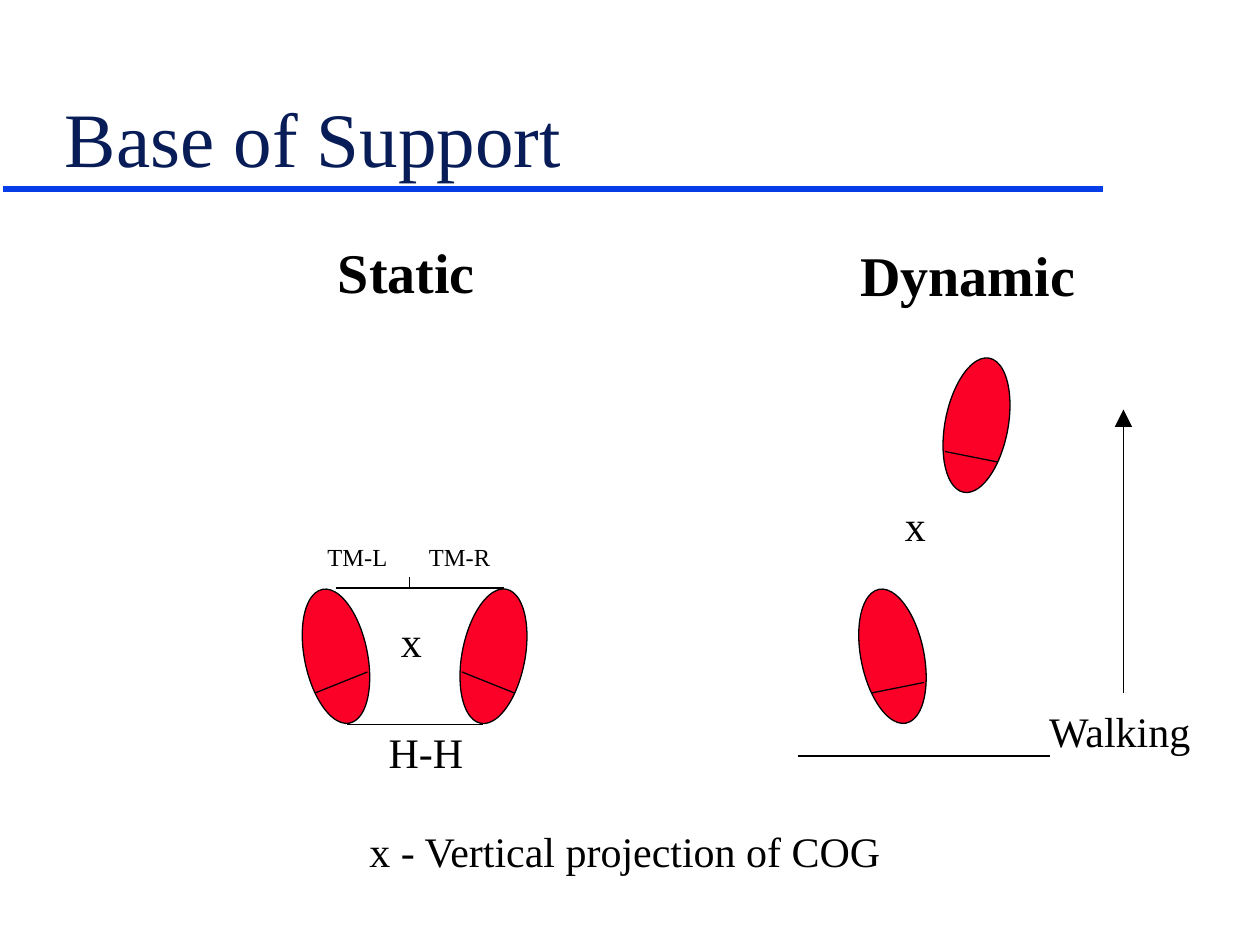
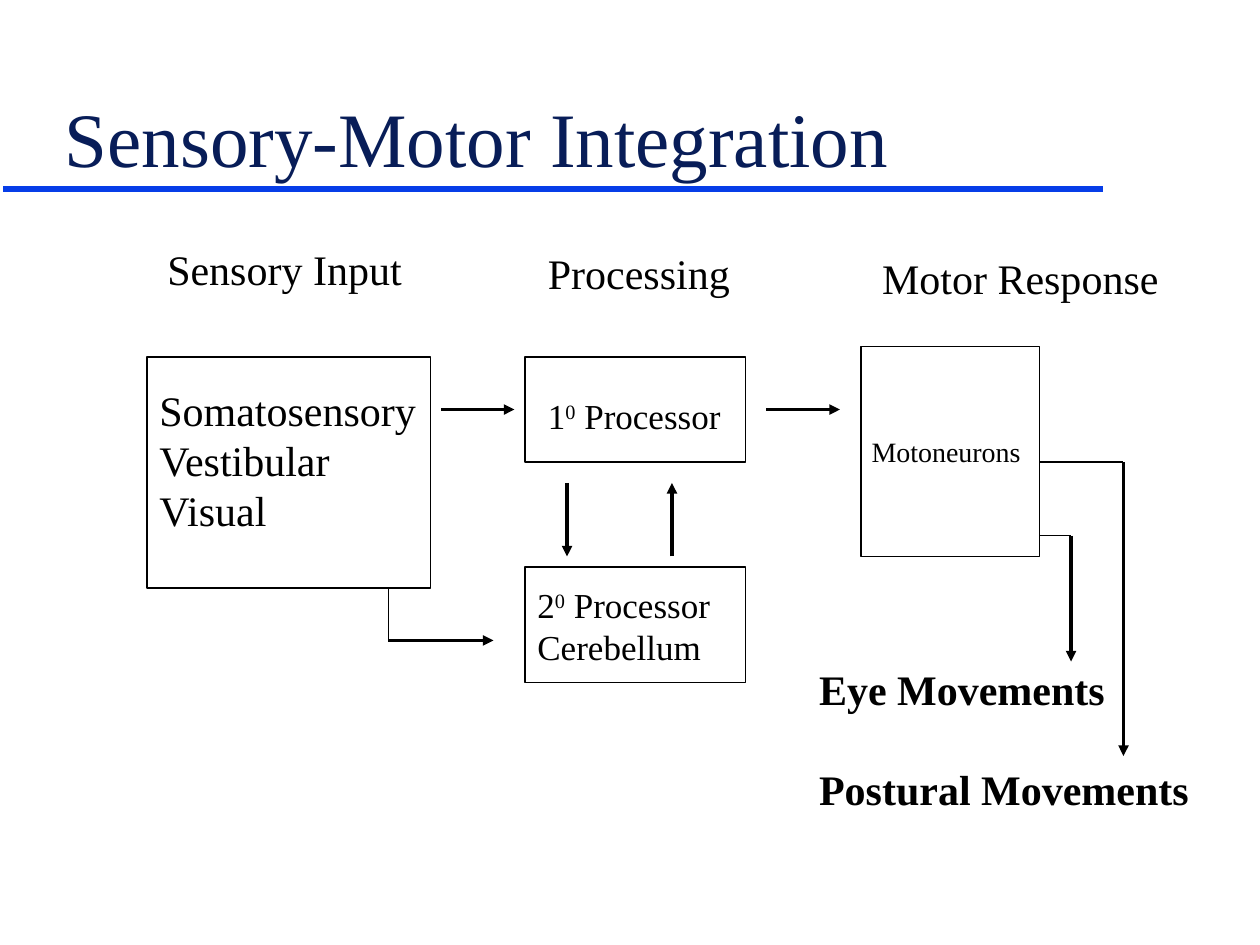
"""Build two slides on base of support and sensory-motor integration."""
import dataclasses

import pptx
import pptx.dml.color
import pptx.enum.shapes
import pptx.enum.text
import pptx.oxml.ns
import pptx.util
from lxml import etree

Pt = pptx.util.Pt
qn = pptx.oxml.ns.qn
SHAPES = pptx.enum.shapes.MSO_SHAPE


@dataclasses.dataclass(frozen=True)
class Theme:
    """Colours, font, type sizes and line widths of the deck."""

    font: str = "Times New Roman"
    ink: str = "000000"
    title_ink: str = "081D58"
    rule: str = "063DE8"
    foot: str = "FC0128"
    title: int = 44
    heading: int = 32
    body: int = 24
    box: int = 20
    small: int = 16
    tiny: int = 14
    thin: float = 0.75
    thick: float = 2
    rule_width: float = 4


THEME = Theme()


def rgb(value):
    """Return a colour object for a hex string."""
    return pptx.dml.color.RGBColor.from_string(value)


def add_text(s, x, y, w, h, lines, size=THEME.body, bold=False, color=THEME.ink,
             gap=0, tab=None, bottom=False):
    """Add a text box; parts of a line between carets are superscript."""
    sp = s.shapes.add_textbox(Pt(x), Pt(y), Pt(w), Pt(h))
    tf = sp.text_frame
    tf.word_wrap = True
    if bottom:
        tf.vertical_anchor = pptx.enum.text.MSO_ANCHOR.BOTTOM
    for i, line in enumerate(lines):
        p = tf.add_paragraph() if i else tf.paragraphs[0]
        if i and gap:
            p.space_before = Pt(gap)
        if tab:
            tabs = etree.SubElement(p._p.get_or_add_pPr(), qn("a:tabLst"))
            etree.SubElement(tabs, qn("a:tab"), pos=str(Pt(tab)), algn="l")
        for j, part in enumerate(line.split("^")):
            r = p.add_run()
            r.text = part
            r.font.name = THEME.font
            r.font.size = Pt(size)
            r.font.bold = bold
            r.font.color.rgb = rgb(color)
            if j % 2:
                r._r.get_or_add_rPr().set("baseline", "30000")
    return sp


def add_line(s, start, end, width=THEME.thin, color=THEME.ink, arrow=None):
    """Add a straight line, with an arrowhead of the given size at its end."""
    cn = s.shapes.add_connector(pptx.enum.shapes.MSO_CONNECTOR.STRAIGHT,
                                *(Pt(v) for v in (*start, *end)))
    cn.line.width = Pt(width)
    cn.line.color.rgb = rgb(color)
    props = cn._element.spPr
    if arrow:
        etree.SubElement(props.find(qn("a:ln")), qn("a:tailEnd"),
                         type="triangle", w=arrow, len=arrow)
    etree.SubElement(props, qn("a:effectLst"))
    return cn


def add_shape(s, kind, x, y, w, h, fill=None):
    """Add a thinly outlined preset shape."""
    sp = s.shapes.add_shape(kind, Pt(x), Pt(y), Pt(w), Pt(h))
    sp.shadow.inherit = False
    if fill:
        sp.fill.solid()
        sp.fill.fore_color.rgb = rgb(fill)
    else:
        sp.fill.background()
    sp.line.width = Pt(THEME.thin)
    sp.line.color.rgb = rgb(THEME.ink)
    return sp


def add_foot(s, x, y, left, slant):
    """Add a footprint with a heel line that falls towards its outer side."""
    sp = add_shape(s, SHAPES.OVAL, x, y, 36, 78, THEME.foot)
    sp.rotation = 348.5 if left else 10.8
    inner, outer = (x + 36, x + 6) if left else (x, x + 30)
    add_line(s, (inner, y + 60 - slant), (outer, y + 60))


def add_titled_slide(prs, title):
    """Add a blank slide with the shared rule and title."""
    s = prs.slides.add_slide(prs.slide_layouts[6])
    add_line(s, (2, 108), (630, 108), THEME.rule_width, THEME.rule)
    add_text(s, 30, 21, 612, 87, [title], THEME.title, color=THEME.title_ink,
             bottom=True)
    return s


def build_support(prs):
    """Build the slide that compares static and dynamic stance."""
    s = add_titled_slide(prs, "Base of Support")
    add_text(s, 186, 132, 98, 46, ["Static"], THEME.heading, bold=True)
    add_text(s, 484.5, 134, 142, 46, ["Dynamic"], THEME.heading, bold=True)

    for x, y, left, slant in ((174, 336, True, 12), (264, 336, False, 12),
                              (492, 336, True, 6), (540, 204, False, 6)):
        add_foot(s, x, y, left, slant)

    for start, end in (((198, 414), (276, 414)), ((192, 336), (288, 336)),
                       ((234, 336), (234, 330)), ((456, 432), (600, 432))):
        add_line(s, start, end)
    add_line(s, (642, 396), (642, 234), arrow="lg")

    add_text(s, 180, 306, 112, 24, ["TM-L\tTM-R"], THEME.tiny, tab=58)
    for x, y, w, label in ((222, 348, 30, "x"), (510, 282, 30, "x"),
                           (215, 411.5, 62, "H-H"), (592.5, 399.5, 102, "Walking"),
                           (204, 468, 316, "x - Vertical projection of COG")):
        add_text(s, x, y, w, 36, [label])


def build_integration(prs):
    """Build the flow from sensory input to motor response."""
    s = add_titled_slide(prs, "Sensory-Motor Integration")
    for x, y, w, label in ((88.5, 135.5, 156, "Sensory Input"),
                           (306, 138, 126, "Processing"),
                           (497, 141, 180, "Motor Response")):
        add_text(s, x, y, w, 36, [label])

    for box in ((84, 204, 162, 132), (300, 204, 126, 60),
                (492, 198, 102, 120), (300, 324, 126, 66)):
        add_shape(s, SHAPES.RECTANGLE, *box)

    for start, end in (((252, 234), (294, 234)), ((438, 234), (480, 234)),
                       ((324, 276), (324, 318)), ((384, 318), (384, 276)),
                       ((222, 366), (282, 366)), ((612, 306), (612, 378)),
                       ((642, 264), (642, 432))):
        add_line(s, start, end, THEME.thick, arrow="med")
    for start, end in (((222, 336), (222, 366)), ((594, 264), (642, 264)),
                       ((594, 306), (612, 306))):
        add_line(s, start, end)

    add_text(s, 84, 216, 168, 94, ["Somatosensory", "Vestibular", "Visual"])
    add_text(s, 306, 222, 134, 32, ["1^0^ Processor"], THEME.box)
    add_text(s, 300, 330, 134, 55, ["2^0^ Processor", "Cerebellum"], THEME.box)
    add_text(s, 491, 245, 106, 27, ["Motoneurons"], THEME.small)
    add_text(s, 461, 375.5, 236, 94, ["Eye Movements", "Postural Movements"],
             bold=True, gap=28.5)


def main():
    """Create and save the presentation."""
    prs = pptx.Presentation()
    prs.slide_width, prs.slide_height = Pt(720), Pt(540)
    build_support(prs)
    build_integration(prs)
    prs.save("out.pptx")


if __name__ == "__main__":
    main()
